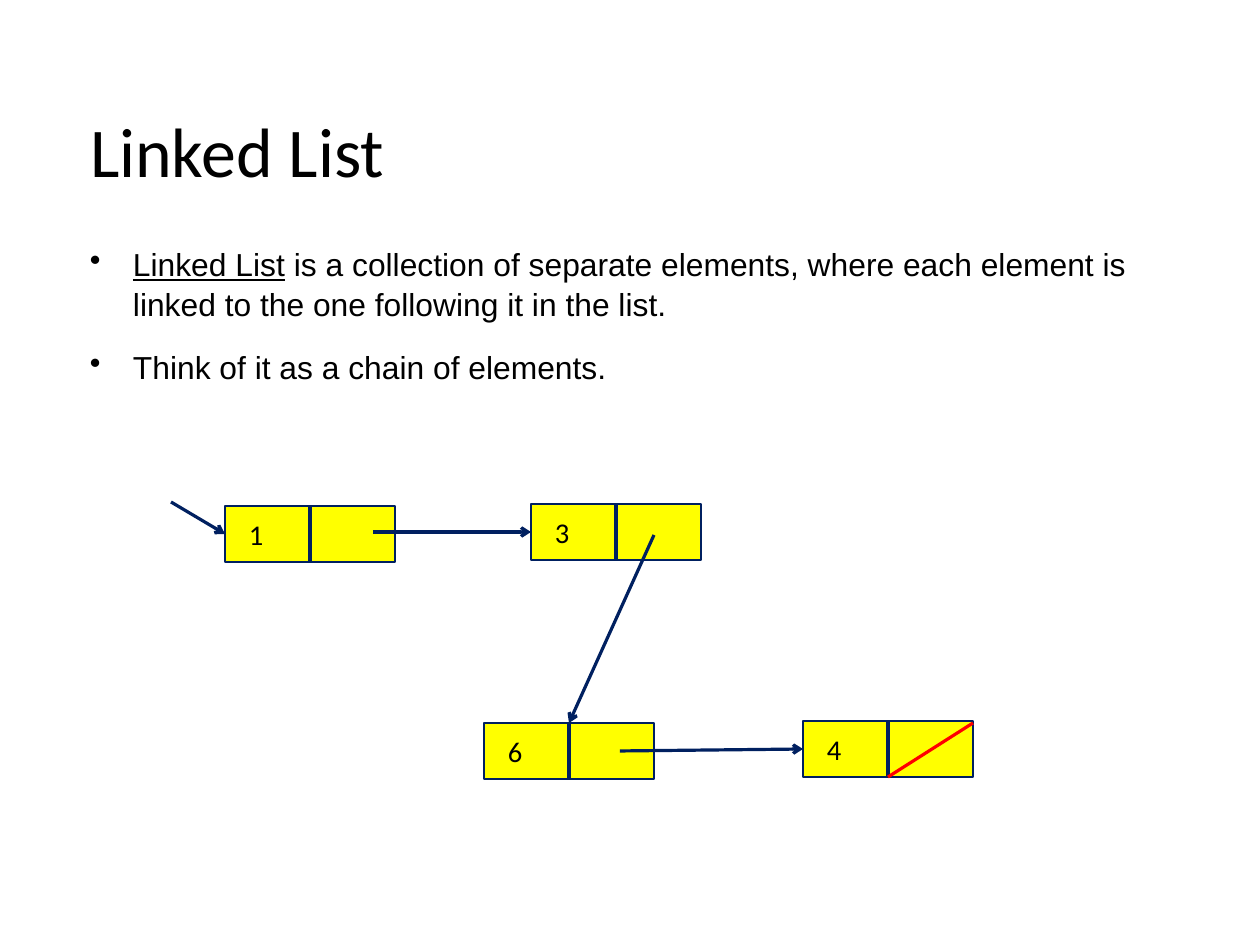
from lxml import etree
from pptx import Presentation
from pptx.dml.color import RGBColor
from pptx.enum.shapes import MSO_CONNECTOR, MSO_SHAPE
from pptx.enum.text import MSO_ANCHOR, PP_ALIGN
from pptx.oxml.ns import qn
from pptx.util import Pt

PX = 8000  # EMU per px
STRAIGHT = MSO_CONNECTOR.STRAIGHT
RECTANGLE = MSO_SHAPE.RECTANGLE
MIDDLE = MSO_ANCHOR.MIDDLE
LEFT = PP_ALIGN.LEFT
TOP_SIDE, LEFT_SIDE = 0, 1

NAVY, YELLOW, RED, BLACK = "002060", "FFFF00", "FF0000", "000000"
NODE_WIDTH, NODE_HEIGHT = 170, 56


def color(hex_string):
    return RGBColor.from_string(hex_string)


def add_line(shapes, start, end, line_color=NAVY, arrow=False):
    """Add a 2 pt straight line without shadow, with an arrowhead at its end if asked."""
    line = shapes.add_connector(STRAIGHT, *(value * PX for value in start + end))
    line.line.color.rgb = color(line_color)
    line.line.width = Pt(2)
    properties = line._element.spPr
    if arrow:
        etree.SubElement(properties.find(qn("a:ln")), qn("a:tailEnd"), type="arrow")
    etree.SubElement(properties, qn("a:effectLst"))
    return line


presentation = Presentation()
presentation.slide_width = 1260 * PX
presentation.slide_height = 945 * PX
slide = presentation.slides.add_slide(presentation.slide_layouts[6])

# Title and body text
frames = []
for left, top, width, height in [(90, 86, 1057, 128), (90, 243, 1106, 595)]:
    box = slide.shapes.add_textbox(left * PX, top * PX, width * PX, height * PX)
    frame = box.text_frame
    frame.word_wrap = True
    frame.margin_left = frame.margin_right = frame.margin_top = frame.margin_bottom = 0
    frames.append(frame)
title, body = frames

title.vertical_anchor = MIDDLE
paragraph = title.paragraphs[0]
paragraph.text = "Linked List"
paragraph.font.size = Pt(44)
paragraph.font.name = "Calibri"
paragraph.font.color.rgb = color(BLACK)

bullets = [
    ("Linked List", " is a collection of separate elements, where each element is "
                    "linked to the one following it in the list."),
    ("", "Think of it as a chain of elements."),
]
for index, (term, text) in enumerate(bullets):
    paragraph = body.add_paragraph() if index else body.paragraphs[0]
    if term:
        run = paragraph.add_run()
        run.text = term
        run.font.underline = True
    paragraph.add_run().text = text
    paragraph.font.size = Pt(20)
    paragraph.font.name = "Arial"
    paragraph.font.color.rgb = color(BLACK)
    paragraph.line_spacing = 1.05
    paragraph.space_after = Pt(14.2)
    properties = paragraph._p.get_or_add_pPr()
    properties.set("marL", str(43 * PX))
    properties.set("indent", str(-43 * PX))
    bullet = etree.Element(qn("a:buChar"), char="•")
    properties.find(qn("a:defRPr")).addprevious(bullet)

# List nodes: a value cell and a link cell
nodes = {}
for value, left, top in [("3", 531, 504), ("6", 484, 723), ("4", 803, 721), ("1", 225, 506)]:
    group = slide.shapes.add_group_shape()
    node = group.shapes.add_shape(
        RECTANGLE, left * PX, top * PX, NODE_WIDTH * PX, NODE_HEIGHT * PX)
    node.shadow.inherit = False
    node.fill.solid()
    node.fill.fore_color.rgb = color(YELLOW)
    node.line.color.rgb = color(NAVY)
    node.line.width = Pt(1)
    frame = node.text_frame
    frame.margin_left = 24 * PX
    frame.vertical_anchor = MIDDLE
    paragraph = frame.paragraphs[0]
    paragraph.text = value
    paragraph.alignment = LEFT
    paragraph.font.size = Pt(18)
    paragraph.font.name = "Calibri"
    paragraph.font.color.rgb = color(BLACK)
    middle = left + NODE_WIDTH // 2
    add_line(group.shapes, (middle, top), (middle, top + NODE_HEIGHT))
    nodes[value] = node

# Links, each ending at the next node, and the end-of-list stroke
links = [
    ((171, 502), (225, 534), "1", LEFT_SIDE),
    ((373, 532), (531, 532), "3", LEFT_SIDE),
    ((654, 535), (569, 723), "6", TOP_SIDE),
    ((620, 751), (803, 749), "4", LEFT_SIDE),
]
for start, end, target, side in links:
    link = add_line(slide.shapes, start, end, arrow=True)
    link.end_connect(nodes[target], side)
add_line(slide.shapes, (973, 723), (888, 777), RED)

presentation.save("out.pptx")
